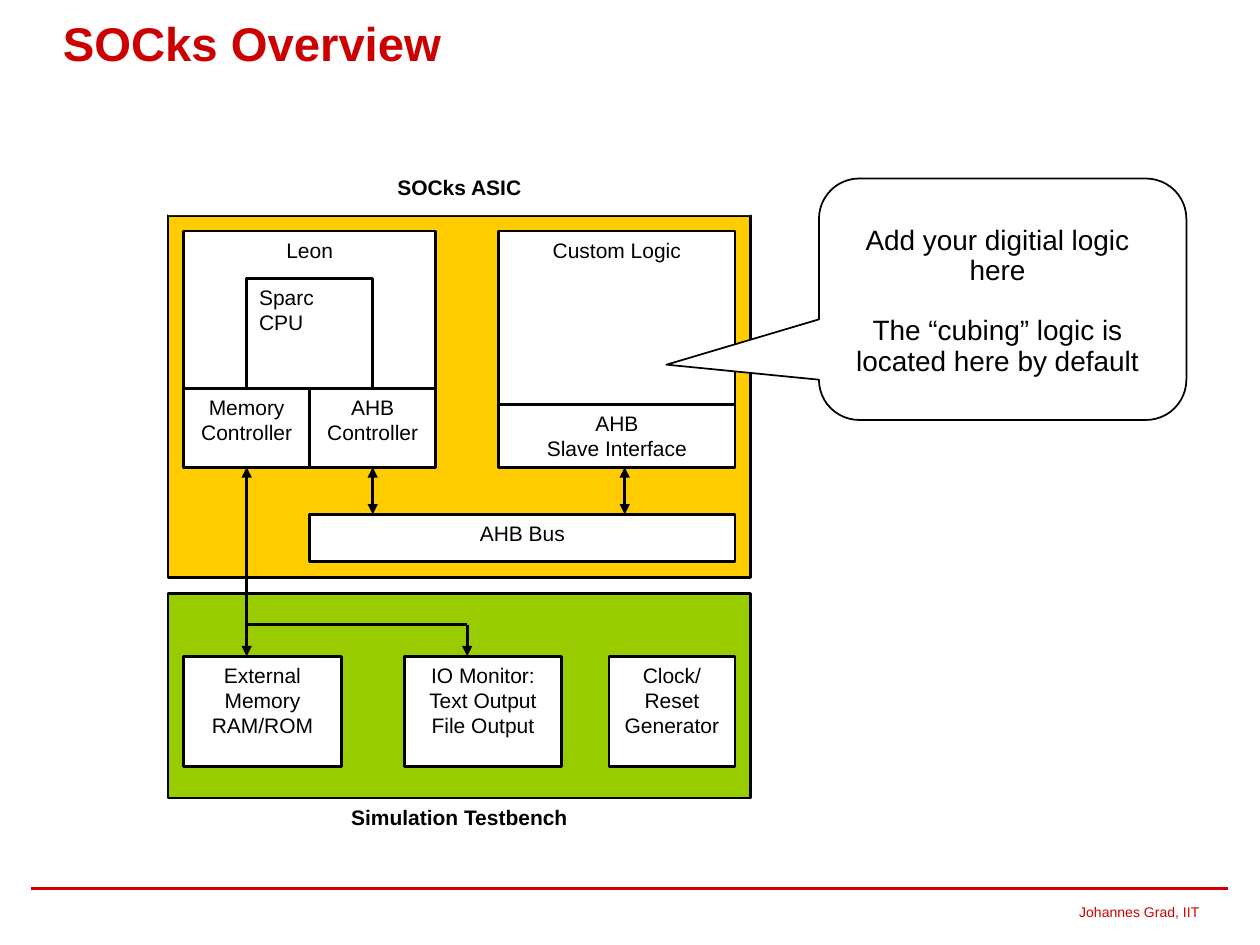
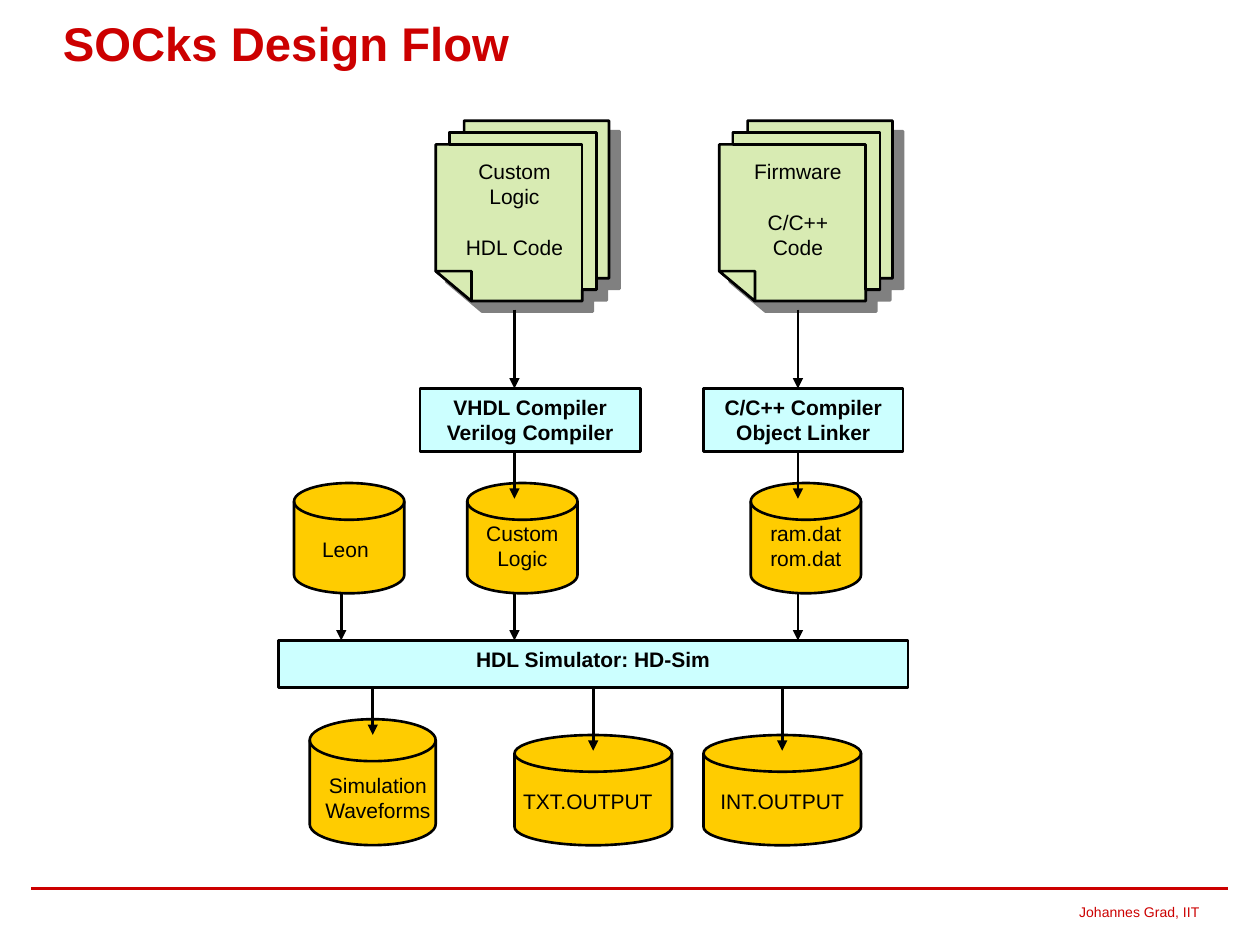
import pptx
import pptx.dml.color
import pptx.enum.shapes
import pptx.enum.text
import pptx.oxml.ns
import pptx.util
from lxml import etree

SHAPE = pptx.enum.shapes.MSO_SHAPE
ALIGN = pptx.enum.text.PP_ALIGN
ANCHOR = pptx.enum.text.MSO_ANCHOR
COLORS = {"red": "CC0000", "black": "000000", "white": "FFFFFF", "green": "99CC00",
          "gold": "FFCC00", "cyan": "CCFFFF", "page": "D8EBB3", "shadow": "808080"}
FONT = "Arial"
INCH = 914400
CELL = INCH / 8      # one column or row
ORIGIN = INCH / 12   # where column 0 and row 0 begin

# Contours of a stack of pages, in columns and rows from its corner
PAGE_STACK = [
    [(0, 9.55), (0, 1.5), (0.87, 1.5), (0.87, 0.74), (1.8, 0.74), (1.8, 0), (11, 0),
     (11, 10), (10.2, 10), (10.2, 10.73), (9.3, 10.73), (9.3, 11.45), (2.27, 11.45)],
    [(1.8, 0.74), (10.2, 0.74), (10.2, 10.73), (9.3, 10.73), (9.3, 1.5), (0.87, 1.5),
     (0.87, 0.74)],
    [(0, 9.55), (2.27, 9.55), (2.27, 11.45)],
]


def rgb(name):
    return pptx.dml.color.RGBColor.from_string(COLORS[name])


def size(cells):
    return round(cells * CELL)


def pos(cell):
    return round(ORIGIN + cell * CELL)


def sub(parent, tag, **attrs):
    return etree.SubElement(parent, pptx.oxml.ns.qn("a:" + tag), **attrs)


def write(tf, text, pt=12, color="black", bold=False, align=ALIGN.CENTER,
          anchor=ANCHOR.TOP, inset=True, spacing=None, gap=0):
    """Write one paragraph a line; gap is the space between paragraphs in points."""
    tf.word_wrap = True
    tf.vertical_anchor = anchor
    if not inset:
        tf.margin_left = tf.margin_right = tf.margin_top = tf.margin_bottom = 0
    for i, line in enumerate(text.split("\n")):
        p = tf.add_paragraph() if i else tf.paragraphs[0]
        p.alignment = align
        if spacing:
            p.line_spacing = spacing
        if i and gap:
            p.space_before = pptx.util.Pt(gap)
        r = p.add_run()
        r.text = line
        r.font.name = FONT
        r.font.size = pptx.util.Pt(pt)
        r.font.bold = bold
        r.font.color.rgb = rgb(color)


class Deck:
    def __init__(self):
        self.prs = pptx.Presentation()
        self.prs.slide_width = pptx.util.Inches(10)
        self.prs.slide_height = pptx.util.Inches(7.5)
        self.s = None

    def slide(self, title):
        """Start a slide with its title, footer rule and footer."""
        self.s = self.prs.slides.add_slide(self.prs.slide_layouts[6])
        self.text(46.05, 55.73, 29.45, 2.96, "Johannes Grad, IIT", pt=8, color="red",
                  align=ALIGN.RIGHT, anchor=ANCHOR.MIDDLE, inset=False)
        self.line(1.33, 55.73, 77.33, 55.73, color="red")
        self.text(3.33, 0.67, 53.33, 7.33, title, pt=27, color="red", bold=True,
                  align=ALIGN.LEFT, inset=False, spacing=0.9)

    def paint(self, sp, fill, line="black", width=1.5):
        sp.shadow.inherit = False
        sp.fill.solid()
        sp.fill.fore_color.rgb = rgb(fill)
        if line:
            sp.line.color.rgb = rgb(line)
            sp.line.width = pptx.util.Pt(width)
        else:
            sp.line.fill.background()

    def shape(self, x, y, w, h, text="", kind=SHAPE.RECTANGLE, fill="white",
              line="black", width=1.5, **fmt):
        sp = self.s.shapes.add_shape(kind, pos(x), pos(y), size(w), size(h))
        self.paint(sp, fill, line, width)
        if text:
            write(sp.text_frame, text, **fmt)
        return sp

    def text(self, x, y, w, h, text, **fmt):
        sp = self.s.shapes.add_textbox(pos(x), pos(y), size(w), size(h))
        write(sp.text_frame, text, **fmt)

    def line(self, x1, y1, x2, y2, color="black", ends=()):
        sp = self.s.shapes.add_connector(pptx.enum.shapes.MSO_CONNECTOR.STRAIGHT,
                                         pos(x1), pos(y1), pos(x2), pos(y2))
        sp.line.color.rgb = rgb(color)
        sp.line.width = pptx.util.Pt(1.5)
        for end in ends:
            sub(sp.line._get_or_add_ln(), end, type="triangle")
        sub(sp._element.spPr, "effectLst")

    def arrow(self, x, top, bottom, both=False):
        ends = ("headEnd", "tailEnd") if both else ("tailEnd",)
        self.line(x, top, x, bottom, ends=ends)

    def disk(self, x, y, w, h, text, text_box, align=ALIGN.CENTER):
        self.shape(x, y, w, h, kind=SHAPE.FLOWCHART_MAGNETIC_DISK, fill="gold")
        self.text(*text_box, text, align=align)

    def pages(self, x, y, text):
        for i, contour in enumerate(PAGE_STACK):
            points = [(pos(x + dx), pos(y + dy)) for dx, dy in contour]
            fb = self.s.shapes.build_freeform(*points[0])
            fb.add_line_segments(points[1:], close=True)
            sp = fb.convert_to_shape()
            self.paint(sp, "page")
            if i == 0:
                effects = sp._element.spPr.find(pptx.oxml.ns.qn("a:effectLst"))
                shadow = sub(effects, "outerShdw", dist=str(pptx.util.Pt(8.5)),
                             dir="2700000", algn="ctr", rotWithShape="0")
                sub(shadow, "srgbClr", val=COLORS["shadow"])
        self.text(x + 1, y + 2, 8, 7, text, gap=14.5)


def overview(d):
    d.slide("SOCks Overview")
    # Chip and testbench areas with their captions
    d.shape(10, 50, 37, 3, "Simulation Testbench", line=None, bold=True)
    d.shape(10, 37, 37, 13, fill="green")
    d.shape(10, 13, 37, 23, fill="gold")
    d.shape(10, 10, 37, 3, "SOCks ASIC", line=None, bold=True)
    # Blocks on the chip
    d.shape(19, 32, 27, 3, "AHB Bus")
    d.shape(11, 14, 16, 15, "Leon")
    d.shape(19, 24, 8, 5, "AHB\nController")
    d.shape(11, 24, 8, 5, "Memory Controller")
    d.shape(15, 17, 8, 7, "Sparc CPU", align=ALIGN.LEFT)
    d.shape(31, 14, 15, 15, "Custom Logic")
    d.shape(31, 25, 15, 4, "AHB\nSlave Interface")
    # Blocks in the testbench
    for x, w, text in [(11, 10, "External\nMemory\nRAM/ROM"),
                       (25, 10, "IO Monitor:\nText Output\nFile Output"),
                       (38, 8, "Clock/\nReset\nGenerator")]:
        d.shape(x, 41, w, 7, text)
    # Connections
    for x, bottom in [(23, 32), (39, 32), (15, 41)]:
        d.arrow(x, 29, bottom, both=True)
    d.line(15, 39, 29, 39)
    d.arrow(29, 39, 41)
    # Callout
    sp = d.shape(51.33, 10.67, 23.33, 15.33, kind=SHAPE.ROUNDED_RECTANGULAR_CALLOUT,
                 width=1)
    for i, value in enumerate((-0.915, 0.271, 0.167)):
        sp.adjustments[i] = value
    d.text(52.67, 13.33, 20, 10.4, "Add your digitial logic here\n"
           "The “cubing” logic is located here by default", pt=16, spacing=0.9, gap=17)


def design_flow(d):
    d.slide("SOCks Design Flow")
    # Simulator and compilers
    d.shape(17, 40, 40, 3, "HDL Simulator: HD-Sim", fill="cyan", bold=True)
    d.shape(26, 24, 14, 4, "VHDL Compiler\nVerilog Compiler", fill="cyan", bold=True)
    d.shape(44, 24, 12.67, 4, "C/C++ Compiler\nObject Linker", fill="cyan", bold=True)
    # Sources
    d.pages(27, 7, "Custom Logic\nHDL Code")
    d.pages(45, 7, "Firmware\nC/C++ Code")
    # Simulator inputs
    d.disk(18, 30, 7, 7, "Leon", (19, 33, 5, 4), align=ALIGN.LEFT)
    for x, text in [(29, "Custom Logic"), (47, "ram.dat\nrom.dat")]:
        d.disk(x, 30, 7, 7, text, (x, 32, 7, 5))
    # Simulator outputs
    d.disk(19, 45, 8, 8, "Simulation\nWaveforms", (18.67, 48, 9.33, 5))
    d.disk(32, 46, 10, 7, "TXT.OUTPUT", (31.33, 49, 10.67, 4))
    d.disk(44, 46, 10, 7, "INT.OUTPUT", (44, 49, 10, 4))
    # Flow arrows
    for x in (32, 50):
        for top, bottom in [(19, 24), (28, 31)]:
            d.arrow(x, top, bottom)
    for x in (21, 32, 50):
        d.arrow(x, 37, 40)
    for x, bottom in [(23, 46), (37, 47), (49, 47)]:
        d.arrow(x, 43, bottom)


def main():
    d = Deck()
    overview(d)
    design_flow(d)
    d.prs.save("out.pptx")


if __name__ == "__main__":
    main()
